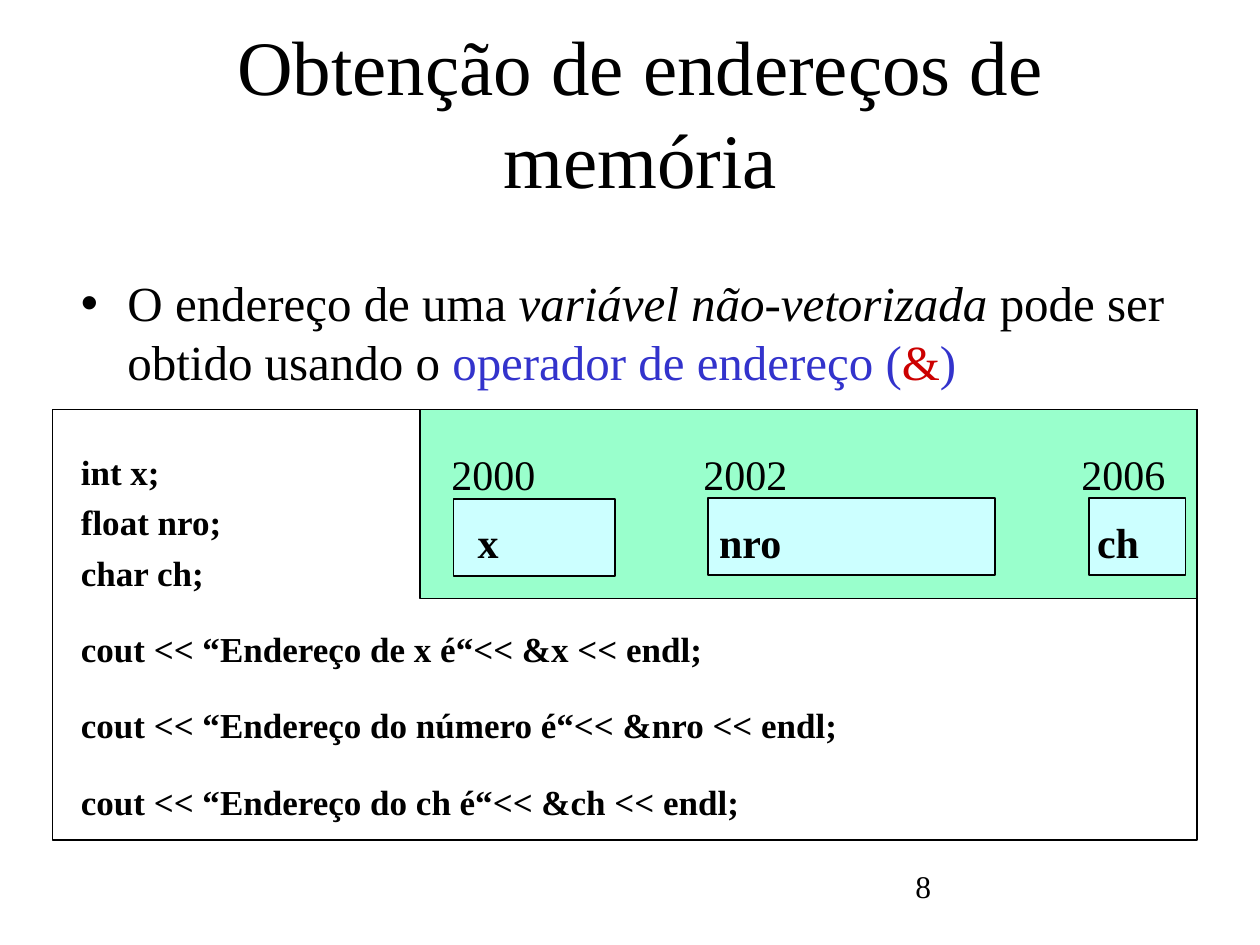
from dataclasses import dataclass

from pptx import Presentation
from pptx import util as u
from pptx.dml.color import RGBColor
from pptx.enum import text
from pptx.enum.shapes import MSO_SHAPE
from pptx.oxml.ns import qn
from lxml import etree


@dataclass(frozen=True)
class Theme:
    font: str = "Times New Roman"
    ink: str = "000000"
    paper: str = "FFFFFF"
    memory: str = "99FFCC"
    cell: str = "CCFFFF"
    term: str = "3333CC"
    symbol: str = "CC0000"
    title: float = 44
    bullet: float = 28
    label: float = 24
    code: float = 20
    number: float = 18


@dataclass(frozen=True)
class Area:
    """Position and size in grid columns and rows."""
    column: float
    row: float
    columns: float
    rows: float


@dataclass(frozen=True)
class Span:
    words: str
    color: str = Theme.ink
    italic: bool = False
    bold: bool = False


@dataclass(frozen=True)
class CodeLine:
    words: str
    before: float


THEME = Theme()
CELL = u.Inches(1) // 12  # the page is 120 columns by 90 rows
COLUMNS, ROWS = 120, 90
INDENT = u.Inches(0.37)
STEP, GROUP, SECTION = 5, 19.5, 34  # points above a code line

BULLET = [
    Span("O endereço de uma "),
    Span("variável não-vetorizada ", italic=True),
    Span("pode ser obtido usando o "),
    Span("operador de endereço (", THEME.term),
    Span("&", THEME.symbol),
    Span(")", THEME.term),
]
CODE = [
    CodeLine("int x;", SECTION),
    CodeLine("float nro;", STEP),
    CodeLine("char ch;", STEP),
    CodeLine("cout << “Endereço de x é“<< &x << endl;", GROUP),
    CodeLine("cout << “Endereço do número é“<< &nro << endl;", GROUP),
    CodeLine("cout << “Endereço do ch é“<< &ch << endl;", GROUP),
]
VARIABLES = [
    Area(43.2, 47.5, 15.4, 7.4),
    Area(67.4, 47.4, 27.4, 7.4),
    Area(103.7, 47.4, 9.2, 7.4),
]


def place(shape, area: Area) -> None:
    shape.left, shape.top = round(area.column * CELL), round(area.row * CELL)
    shape.width, shape.height = round(area.columns * CELL), round(area.rows * CELL)


def add_span(para, span: Span, size: float) -> None:
    run = para.add_run()
    run.text = span.words
    font = run.font
    font.name, font.size = THEME.font, u.Pt(size)
    font.bold, font.italic = span.bold, span.italic
    font.color.rgb = RGBColor.from_string(span.color)


def add_box(page, area: Area, fill: str, line: float = 1) -> object:
    box = page.shapes.add_shape(MSO_SHAPE.RECTANGLE, 0, 0, 0, 0)
    place(box, area)
    box.shadow.inherit = False
    box.fill.solid()
    box.fill.fore_color.rgb = RGBColor.from_string(fill)
    box.line.color.rgb = RGBColor.from_string(THEME.ink)
    box.line.width = u.Pt(line)
    return box


def set_inch_tabs(para, count: int) -> None:
    tabs = etree.SubElement(para._p.get_or_add_pPr(), qn("a:tabLst"))
    for inch in range(1, count + 1):
        etree.SubElement(tabs, qn("a:tab"), pos=str(u.Inches(inch)), algn="l")


def add_label(page, area: Area, span: Span, size: float, tabs: int = 0) -> None:
    box = page.shapes.add_textbox(0, 0, 0, 0)
    place(box, area)
    box.text_frame.word_wrap = True
    para = box.text_frame.paragraphs[0]
    if tabs:
        set_inch_tabs(para, tabs)
    add_span(para, span, size)


def format_item(para, bullet: str = "", before: float = 0) -> None:
    para.space_before = u.Pt(before)
    properties = para._p.get_or_add_pPr()
    properties.set("marL", str(INDENT))
    properties.set("indent", str(-INDENT))
    if bullet:
        etree.SubElement(properties, qn("a:buChar")).set("char", bullet)
    else:
        etree.SubElement(properties, qn("a:buNone"))


def fill_title(title) -> None:
    place(title, Area(10, 5, 102, 15))
    frame = title.text_frame
    frame.auto_size = text.MSO_AUTO_SIZE.NONE
    frame.vertical_anchor = text.MSO_ANCHOR.BOTTOM
    para = frame.paragraphs[0]
    para.alignment = text.PP_ALIGN.CENTER
    add_span(para, Span("Obtenção de endereços de memória"), THEME.title)


def fill_body(body) -> None:
    place(body, Area(6.5, 25.4, 106.8, 56.6))
    frame = body.text_frame
    frame.auto_size = text.MSO_AUTO_SIZE.NONE
    para = frame.paragraphs[0]
    format_item(para, bullet="•")
    for span in BULLET:
        add_span(para, span, THEME.bullet)
    for line in CODE:
        para = frame.add_paragraph()
        format_item(para, before=line.before)
        add_span(para, Span(line.words, bold=True), THEME.code)


def main() -> None:
    deck = Presentation()
    deck.slide_width, deck.slide_height = COLUMNS * CELL, ROWS * CELL
    page = deck.slides.add_slide(deck.slide_layouts[1])

    # Title, bullet and code, with the code frame behind them
    fill_title(page.shapes.title)
    fill_body(page.placeholders[1])
    frame = add_box(page, Area(5, 39, 109, 41), THEME.paper)
    page.shapes.title._element.addprevious(frame._element)

    # Memory with its variables, names and addresses
    add_box(page, Area(40, 39, 74, 18), THEME.memory, 0.75)
    for area in VARIABLES:
        add_box(page, area, THEME.cell)
    add_label(page, Area(43.3, 48.6, 70.7, 6.1),
              Span(" x \t\tnro \t\t\tch", bold=True), THEME.label, tabs=5)
    add_label(page, Area(41.8, 42.1, 71.2, 6.1),
              Span("2000\t\t2002\t\t\t2006"), THEME.label, tabs=5)

    # Page number
    add_label(page, Area(86, 82, 25, 6), Span("8"), THEME.number)
    deck.save("out.pptx")


if __name__ == "__main__":
    main()
